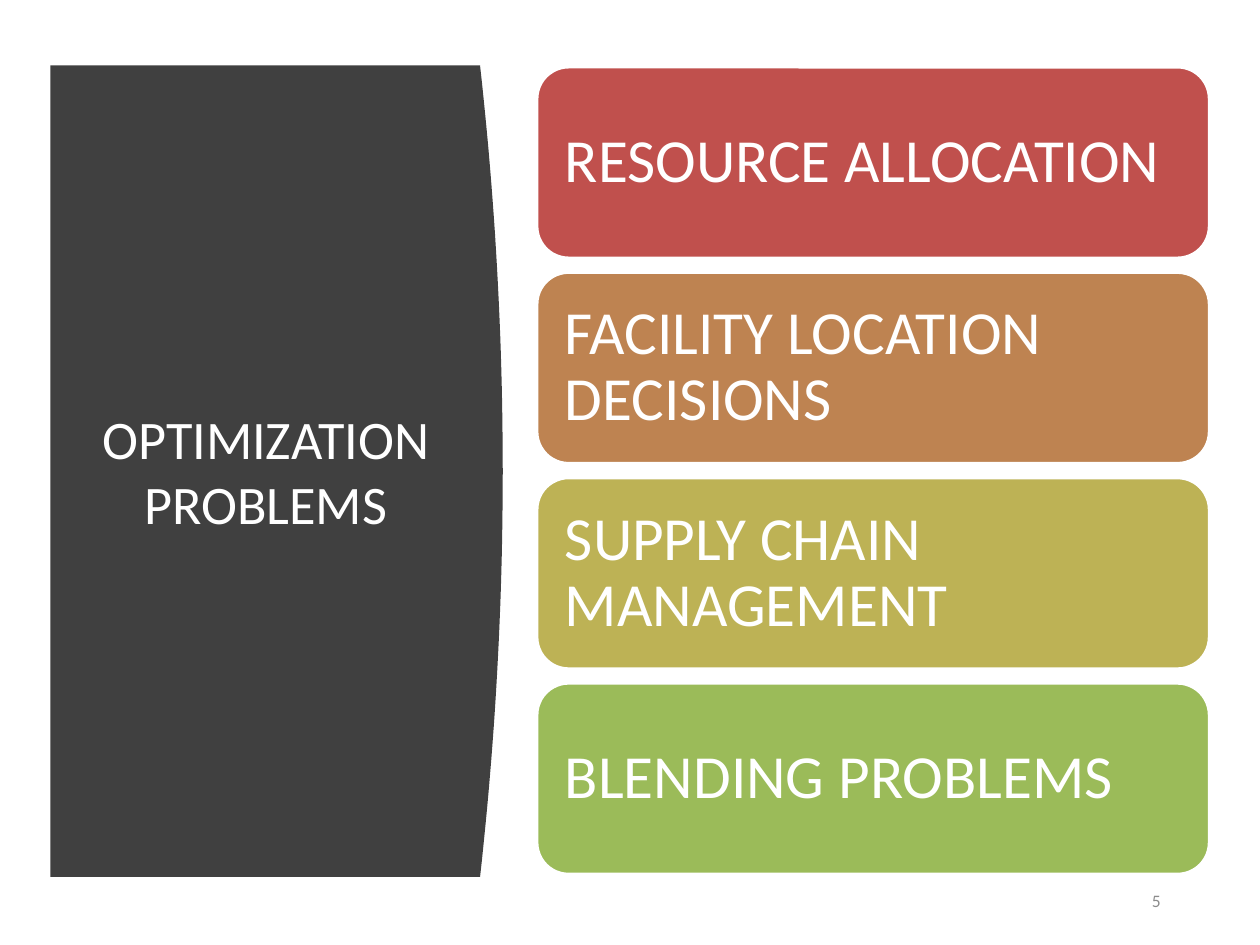
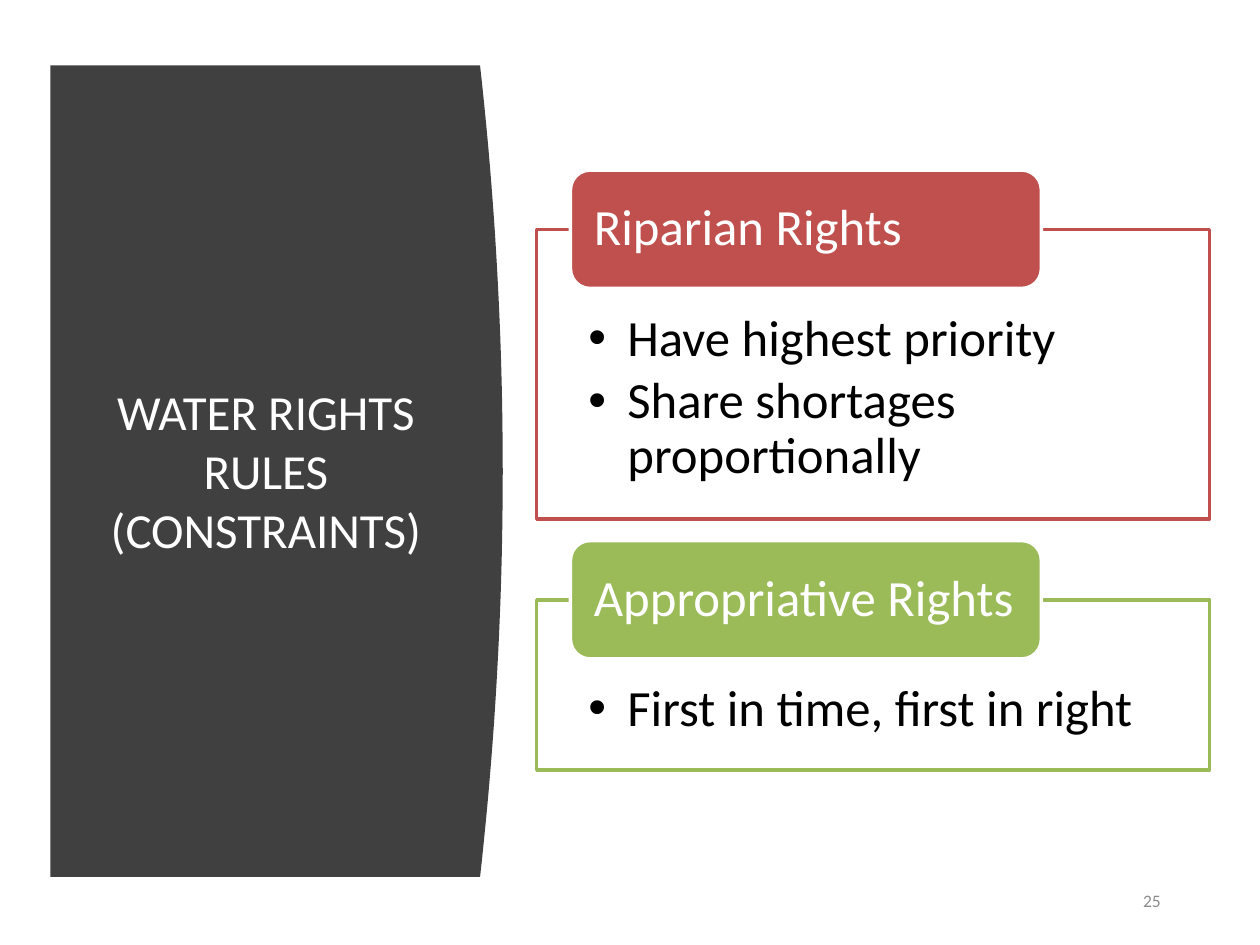
from dataclasses import dataclass

from lxml import etree
from pptx import Presentation
from pptx import util as u
from pptx.dml.color import RGBColor
from pptx.enum import shapes, text
from pptx.oxml import ns

Inches = u.Inches
SHAPE = shapes.MSO_SHAPE
ALIGN = text.PP_ALIGN
ANCHOR = text.MSO_ANCHOR


@dataclass(frozen=True)
class Theme:
    font: str = "Calibri"
    white: str = "FFFFFF"
    ink: str = "000000"
    panel: str = "404040"
    muted: str = "8C8C8C"
    red: str = "C0504D"
    orange: str = "BE8351"
    olive: str = "BDB255"
    green: str = "9BBB59"
    card_size: int = 35
    rights_size: int = 29
    number_size: int = 10
    outline: int = 2


THEME = Theme()
TITLE_PANEL = (0.4, 0.52, 3.59, 6.44)
CARD_AREA = (4.26, 0.53, 5.34, 6.41)
RIGHTS_AREA = (4.26, 1.82, 5.34, 4.29)
NUMBER_BOX = (8.8, 6.95, 0.51, 0.4)


def add_bullet(para, indent=0.31):
    props = para._p.get_or_add_pPr()
    props.set("marL", str(Inches(indent)))
    props.set("indent", str(-Inches(indent)))
    etree.SubElement(props, ns.qn("a:buFont"), typeface="Arial")
    etree.SubElement(props, ns.qn("a:buChar"), char="•")


def write(shape, lines, size, color=THEME.white, align=ALIGN.LEFT,
          anchor=ANCHOR.MIDDLE, insets=(0.1, 0.05, 0.1, 0.05),
          spacing=1.0, after=0, bullets=False):
    """Fill a shape with one paragraph per line; insets run left, top, right, bottom."""
    frame = shape.text_frame
    frame.word_wrap = True
    frame.vertical_anchor = anchor
    (frame.margin_left, frame.margin_top,
     frame.margin_right, frame.margin_bottom) = map(Inches, insets)
    for index, line in enumerate(lines):
        para = frame.add_paragraph() if index else frame.paragraphs[0]
        para.alignment = align
        para.line_spacing = spacing
        para.space_after = u.Pt(after)
        if bullets:
            add_bullet(para)
        span = para.add_run()
        span.text = line
        span.font.name = THEME.font
        span.font.size = u.Pt(size)
        span.font.color.rgb = RGBColor.from_string(color)


def paint(shape, fill, line=None, opacity=100):
    shape.shadow.inherit = False
    shape.fill.solid()
    shape.fill.fore_color.rgb = RGBColor.from_string(fill)
    if opacity < 100:
        tint = shape.fill._xPr.find(".//" + ns.qn("a:srgbClr"))
        etree.SubElement(tint, ns.qn("a:alpha"), val=str(opacity * 1000))
    if line:
        shape.line.color.rgb = RGBColor.from_string(line)
        shape.line.width = u.Pt(THEME.outline)
    else:
        shape.line.fill.background()


def add_box(page, kind, box, fill, line, opacity=100):
    shape = page.shapes.add_shape(kind, *map(Inches, box))
    paint(shape, fill, line, opacity)
    return shape


def add_title_panel(page, box, title, size, bulge=0.18, steps=48):
    """Draw a dark panel whose right edge bows outwards as a parabola."""
    left, top, width, height = box
    edge = []
    for step in range(steps + 1):
        offset = 2 * step / steps - 1
        edge.append((Inches(left + width - bulge * offset ** 2),
                     Inches(top + height * step / steps)))
    outline = page.shapes.build_freeform(Inches(left), Inches(top))
    outline.add_line_segments(edge + [(Inches(left), Inches(top + height))])
    paint(outline.convert_to_shape(), THEME.panel)
    heading = page.shapes.add_textbox(Inches(left + 0.31), Inches(top + 0.59),
                                      Inches(2.8), Inches(height - 1.2))
    write(heading, [title], size, align=ALIGN.CENTER)


def add_page_number(page, box, number):
    label = page.shapes.add_textbox(*map(Inches, box))
    write(label, [str(number)], THEME.number_size, THEME.muted, ALIGN.RIGHT)


def add_cards(page, box, cards, gap=0.11):
    left, top, width, height = box
    card_height = (height - gap * (len(cards) - 1)) / len(cards)
    for index, (label, color) in enumerate(cards):
        card_top = top + index * (card_height + gap)
        card = add_box(page, SHAPE.ROUNDED_RECTANGLE,
                       (left, card_top, width, card_height), color, THEME.white)
        write(card, [label], THEME.card_size, insets=(0.15,) * 4, spacing=0.9)


def add_rights(page, box, groups, gap=0.64):
    """Stack outlined lists, each with a tab centred on its top edge."""
    left, top, width, _ = box
    tab_height = 0.94
    for label, rules, color, height in groups:
        panel = add_box(page, SHAPE.RECTANGLE, (left, top, width, height),
                        THEME.white, color, opacity=90)
        write(panel, rules, THEME.rights_size, THEME.ink, anchor=ANCHOR.TOP,
              insets=(0.41, 0.66, 0.41, 0.23), spacing=0.9, after=4.5, bullets=True)
        tab = add_box(page, SHAPE.ROUNDED_RECTANGLE,
                      (left + width * 0.05, top - tab_height / 2, width * 0.7, tab_height),
                      color, THEME.white)
        write(tab, [label], THEME.rights_size, insets=(0.14, 0, 0.14, 0), spacing=0.9)
        top += height + gap


def add_page(deck, title, title_size, number):
    page = deck.slides.add_slide(deck.slide_layouts[6])
    add_title_panel(page, TITLE_PANEL, title, title_size)
    add_page_number(page, NUMBER_BOX, number)
    return page


def main():
    deck = Presentation()
    deck.slide_width, deck.slide_height = Inches(10), Inches(7.5)

    problems = add_page(deck, "OPTIMIZATION PROBLEMS", 31, 5)
    add_cards(problems, CARD_AREA, [
        ("RESOURCE ALLOCATION", THEME.red),
        ("FACILITY LOCATION DECISIONS", THEME.orange),
        ("SUPPLY CHAIN MANAGEMENT", THEME.olive),
        ("BLENDING PROBLEMS", THEME.green),
    ])

    rights = add_page(deck, "WATER RIGHTS RULES (CONSTRAINTS)", 28, 25)
    add_rights(rights, RIGHTS_AREA, [
        ("Riparian Rights",
         ["Have highest priority", "Share shortages proportionally"], THEME.red, 2.3),
        ("Appropriative Rights", ["First in time, first in right"], THEME.green, 1.35),
    ])

    deck.save("out.pptx")


if __name__ == "__main__":
    main()
